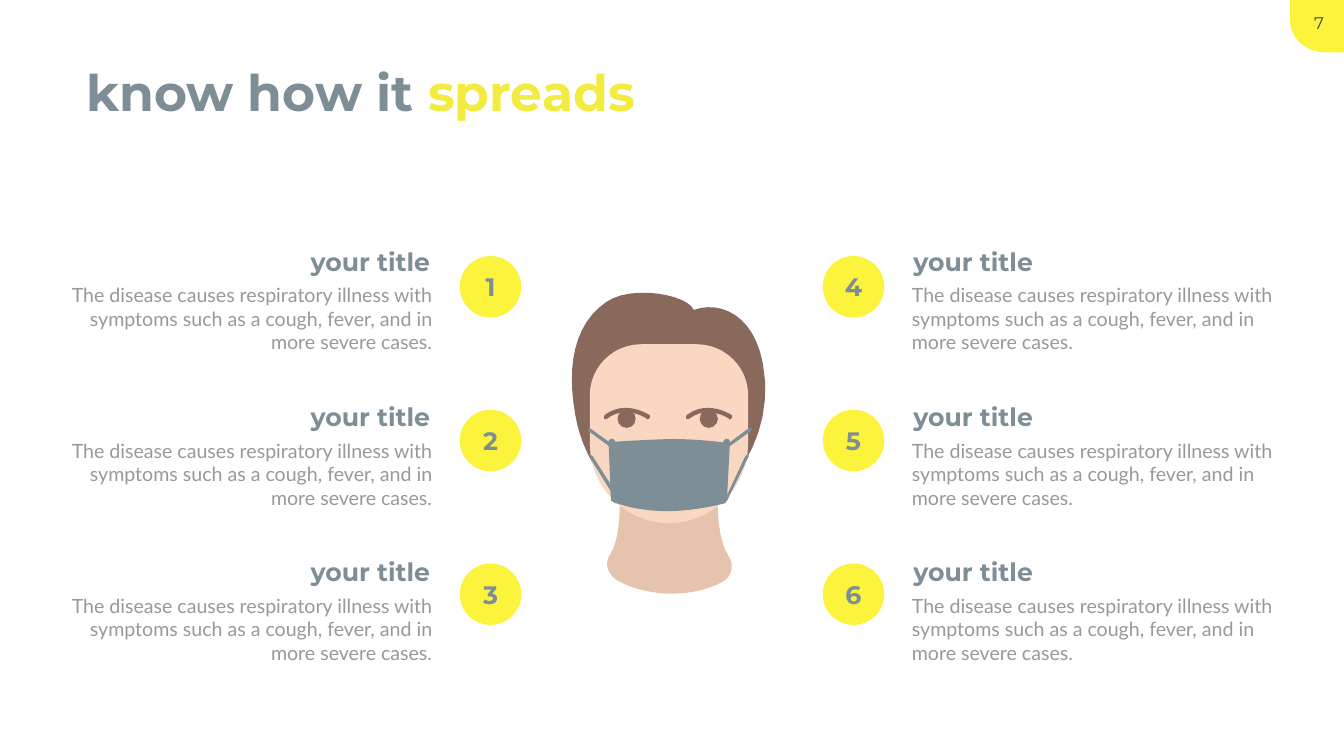
from pptx import Presentation
from pptx.dml.color import RGBColor
from pptx.enum.shapes import MSO_SHAPE
from pptx.enum.text import MSO_ANCHOR, MSO_AUTO_SIZE, PP_ALIGN
from pptx.util import Inches, Pt

COLORS = {
    "yellow": "FCF33D", "accent": "F4EB40", "slate": "7E8E96", "body": "999999",
    "page": "494949", "hair": "89695B", "skin": "F9D7C0", "neck": "E5C3AC",
}
FORMATS = {
    "title": {"name": "Montserrat", "size": Pt(72), "bold": True},
    "heading": {"name": "Montserrat", "size": Pt(36), "bold": True},
    "body": {"name": "Lato", "size": Pt(28), "bold": False},
    "page": {"name": "Montserrat", "size": Pt(24), "bold": False},
}
CURVE_STEPS = 12


def bezier(p0, p1, p2, p3):
    """Points along a cubic curve, without its start."""
    for step in range(1, CURVE_STEPS + 1):
        t = step / CURVE_STEPS
        u = 1 - t
        yield tuple(u**3 * a + 3 * u * u * t * b + 3 * u * t * t * c + t**3 * d
                    for a, b, c, d in zip(p0, p1, p2, p3))


class SlideBuilder:
    def __init__(self, slide):
        self.slide = slide
        self.shapes = slide.shapes

    def start_group(self):
        self.shapes = self.slide.shapes.add_group_shape().shapes

    def paint(self, shape, color):
        shape.shadow.inherit = False
        shape.fill.solid()
        shape.fill.fore_color.rgb = RGBColor.from_string(COLORS[color])
        shape.line.fill.background()

    def add_runs(self, frame, runs, style, align):
        paragraph = frame.paragraphs[0]
        paragraph.alignment = align
        for words, color in runs:
            run = paragraph.add_run()
            run.text = words
            for key, value in FORMATS[style].items():
                setattr(run.font, key, value)
            run.font.color.rgb = RGBColor.from_string(COLORS[color])

    def text(self, box, runs, style, align=PP_ALIGN.LEFT, wrap=True):
        frame = self.shapes.add_textbox(*map(Inches, box)).text_frame
        frame.word_wrap = wrap
        frame.auto_size = MSO_AUTO_SIZE.SHAPE_TO_FIT_TEXT
        self.add_runs(frame, runs, style, align)

    def circle(self, left, top, size, color, label=None):
        disc = self.shapes.add_shape(MSO_SHAPE.OVAL, *map(Inches, (left, top, size, size)))
        self.paint(disc, color)
        if label:
            frame = disc.text_frame
            frame.word_wrap = False
            frame.vertical_anchor = MSO_ANCHOR.MIDDLE
            self.add_runs(frame, [(label, "slate")], "heading", PP_ALIGN.CENTER)

    def outline(self, color, start, *segments, shift=0):
        """A segment of two numbers is a line, one of six is a cubic curve."""
        points = [start]
        for segment in segments:
            ends = list(zip(segment[::2], segment[1::2]))
            points += ends if len(ends) == 1 else bezier(points[-1], *ends)
        first, *rest = [(Inches(x + shift), Inches(y)) for x, y in points]
        builder = self.shapes.build_freeform(*first, scale=1.0)
        builder.add_line_segments(rest, close=True)
        self.paint(builder.convert_to_shape(), color)


prs = Presentation()
prs.slide_width, prs.slide_height = Inches(26.66), Inches(15)
page = SlideBuilder(prs.slides.add_slide(prs.slide_layouts[6]))

# Page number corner
page.outline("yellow", (25.59, 0), (26.66, 0), (26.66, 1.04), (26.29, 1.04),
             (25.9, 1.04, 25.59, 0.75, 25.59, 0.4))
page.text((25.65, 0.21, 1.03, 0.51), [("7", "page")], "page", PP_ALIGN.CENTER, wrap=False)

# Title
page.text((1.61, 1.17, 11.24, 1.31), [("know how it ", "slate"), ("spreads", "accent")],
          "title", wrap=False)

# Neck, hair and face
page.outline("neck", (12.1, 11.01), (12.39, 10.56, 12.27, 9.49, 12.27, 9.49), (14.25, 9.49),
             (14.25, 9.49, 14.15, 10.58, 14.45, 11.03),
             (14.57, 11.21, 14.52, 11.43, 14.34, 11.54),
             (14.08, 11.68, 13.74, 11.78, 13.28, 11.78),
             (12.78, 11.76, 12.43, 11.63, 12.21, 11.49),
             (12.05, 11.38, 11.99, 11.16, 12.1, 11.01))
page.outline("hair", (13.01, 10.04), (13.47, 10.04),
             (14.43, 10.04, 15.42, 8.66, 15.13, 7.2),
             (14.95, 6.25, 14.29, 5.96, 13.76, 6.15),
             (13.65, 5.85, 12.54, 5.64, 12.03, 5.99),
             (11.38, 6.43, 11.24, 7.27, 11.41, 8.22),
             (11.52, 8.93, 12.05, 10.04, 13.01, 10.04))
page.outline("skin", (12.72, 6.83), (13.82, 6.83),
             (14.38, 6.83, 14.84, 7.28, 14.84, 7.84), (14.84, 8.81),
             (14.84, 9.67, 14.13, 10.38, 13.27, 10.38),
             (12.41, 10.38, 11.7, 9.67, 11.7, 8.81), (11.7, 7.84),
             (11.7, 7.28, 12.16, 6.83, 12.72, 6.83))

# Brows and eyes
for shift in (0, -1.63):
    page.outline("hair", (14.47, 8.32), (14.49, 8.32, 14.51, 8.3, 14.51, 8.3),
                 (14.53, 8.27, 14.53, 8.25, 14.51, 8.23),
                 (14.49, 8.23, 14.05, 7.92, 13.63, 8.23),
                 (13.61, 8.25, 13.61, 8.27, 13.61, 8.3),
                 (13.63, 8.32, 13.67, 8.32, 13.68, 8.3),
                 (14.05, 8.03, 14.45, 8.3, 14.45, 8.3), shift=shift)
    page.circle(13.88 + shift, 8.13, 0.36, "hair")

# Mask: four straps, cloth, two side seams
page.start_group()
STRAPS = [
    [(14.28, 9), (14.3, 8.98), (14.9, 8.55), (14.91, 8.49), (14.86, 8.49), (14.26, 8.94), (14.24, 8.98)],
    [(14.42, 9.94), (14.43, 9.92), (14.85, 9.06), (14.85, 9.02), (14.79, 9.04), (14.38, 9.91), (14.38, 9.94)],
    [(12.31, 9.02), (11.67, 8.55), (11.67, 8.51), (11.71, 8.5), (12.33, 8.95), (12.33, 9.01)],
    [(12.22, 9.89), (12.2, 9.88), (11.7, 9.08), (11.7, 9.03), (11.75, 9.04), (12.26, 9.84), (12.26, 9.89)],
]
SEAMS = [
    [(14.33, 9.97), (14.39, 9.97), (14.42, 9.91), (14.48, 8.75), (14.44, 8.71), (14.39, 8.71),
     (14.35, 8.75), (14.29, 9.95)],
    [(12.18, 9.97), (12.22, 9.99), (12.28, 9.96), (12.2, 8.75), (12.16, 8.71), (12.11, 8.71),
     (12.07, 8.75), (12.12, 9.93)],
]
CLOTH = [(12.22, 9.98), (12.22, 9.98, 12.68, 10.16, 13.32, 10.14),
         (13.85, 10.13, 14.4, 9.98, 14.4, 9.98), (14.43, 8.79),
         (14.43, 8.79, 13.89, 8.71, 13.32, 8.71), (12.68, 8.73, 12.11, 8.77, 12.11, 8.77)]
for part in [*STRAPS, CLOTH, *SEAMS]:
    page.outline("slate", *part)

# Numbered callouts: heading left, text left, circle left, first number, alignment
SYMPTOMS = ("The disease causes respiratory illness with symptoms such as a cough, "
            "fever, and in more severe cases.")
SIDES = [(18.02, 17.99, 16.32, 4, PP_ALIGN.LEFT), (3.28, 1.29, 9.12, 1, PP_ALIGN.RIGHT)]
for heading_left, text_left, circle_left, first_number, align in SIDES:
    page.start_group()
    for row in range(3):
        drop = 3.08 * row
        page.text((heading_left, 4.83 + drop, 5.35, 0.71), [("your title", "slate")], "heading", align)
        page.text((text_left, 5.57 + drop, 7.38, 1.51), [(SYMPTOMS, "body")], "body", align)
        page.circle(circle_left, 5.08 + 3.05 * row, 1.22, "yellow", str(first_number + row))

prs.save("out.pptx")
